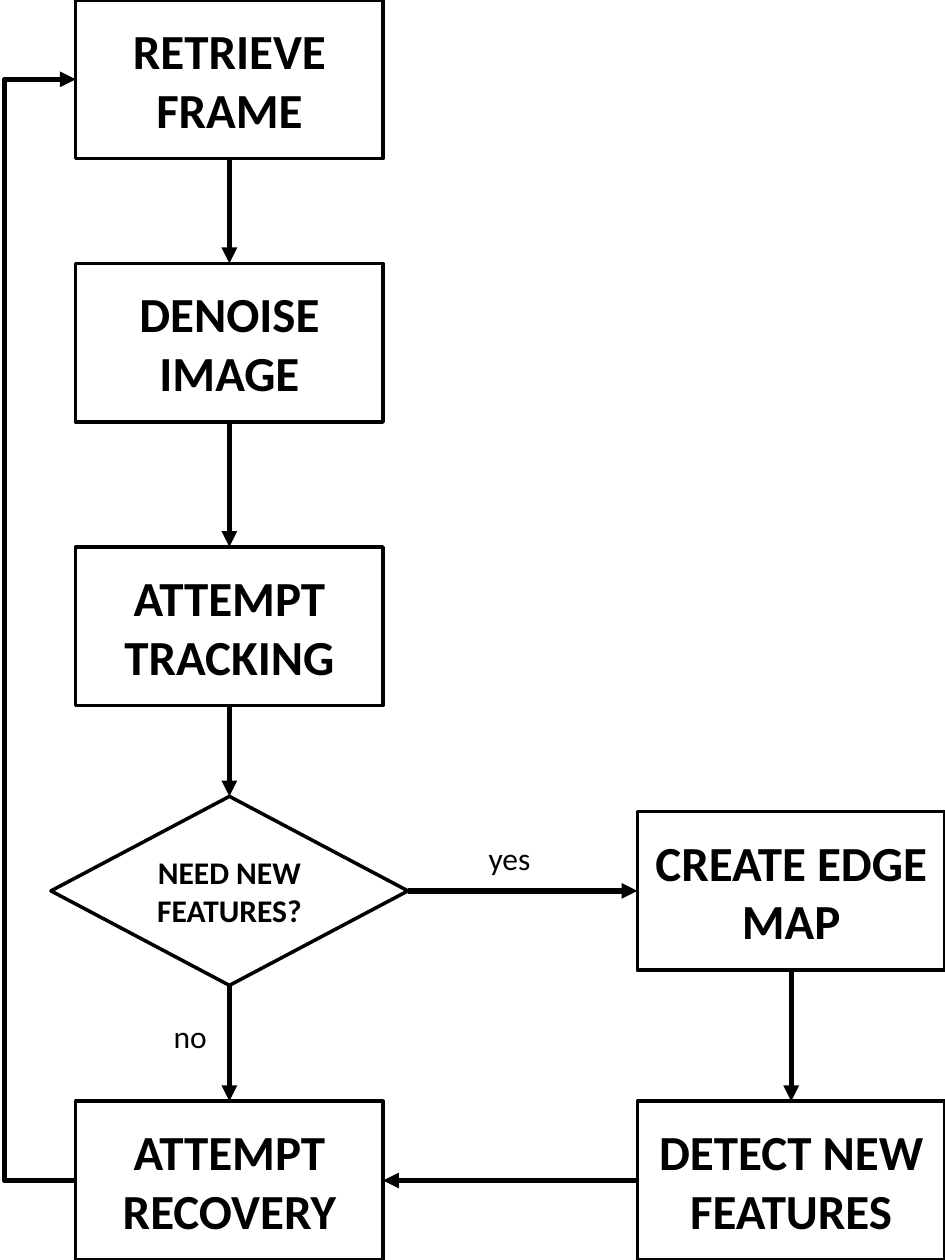
from pptx import Presentation
from pptx.dml.color import RGBColor
from pptx.enum.shapes import MSO_CONNECTOR, MSO_SHAPE
from pptx.enum.text import MSO_ANCHOR, PP_ALIGN
from pptx.oxml.ns import qn
from pptx.util import Pt
from lxml import etree

RECT, DIAMOND = MSO_SHAPE.RECTANGLE, MSO_SHAPE.DIAMOND
STRAIGHT, ELBOW = MSO_CONNECTOR.STRAIGHT, MSO_CONNECTOR.ELBOW
MIDDLE, CENTER = MSO_ANCHOR.MIDDLE, PP_ALIGN.CENTER
TOP, LEFT, BOTTOM, RIGHT = range(4)  # connection sites

COLORS = {"ink": "000000"}
INK = RGBColor.from_string(COLORS["ink"])
FONT = "Calibri"
STEP_W, STEP_H = 175.7, 90.7
MAIN_X, SIDE_X = 131.1, 452.1  # column centres
DECISION_Y, RECOVERY_Y = 509.1, 674.6  # row centres


def set_text(paragraph, text, size, bold=False):
    paragraph.text = text
    font = paragraph.font
    font.name, font.size, font.bold = FONT, Pt(size), bold
    font.color.rgb = INK


def add_node(slide, kind, text, center, width, height, size):
    x, y = center
    node = slide.shapes.add_shape(kind, Pt(x - width / 2), Pt(y - height / 2),
                                  Pt(width), Pt(height))
    node.shadow.inherit = False
    node.fill.background()
    node.line.color.rgb = INK
    node.line.width = Pt(2)
    frame = node.text_frame
    frame.word_wrap = True
    frame.vertical_anchor = MIDDLE
    paragraph = frame.paragraphs[0]
    paragraph.alignment = CENTER
    set_text(paragraph, text, size, bold=True)
    return node


def add_step(slide, text, center):
    return add_node(slide, RECT, text, center, STEP_W, STEP_H, 28)


def style_arrow(arrow):
    arrow.line.color.rgb = INK
    arrow.line.width = Pt(3)
    etree.SubElement(arrow.line._get_or_add_ln(), qn("a:tailEnd"), type="triangle")
    etree.SubElement(arrow._element.spPr, qn("a:effectLst"))


def link(slide, source, source_site, target, target_site):
    arrow = slide.shapes.add_connector(STRAIGHT, 0, 0, 0, 0)
    arrow.begin_connect(source, source_site)
    arrow.end_connect(target, target_site)
    style_arrow(arrow)


def add_loop(slide, x, top, bottom, rail_x):
    """Arrow that leaves at the bottom, runs up the rail and returns at the top."""
    arrow = slide.shapes.add_connector(ELBOW, Pt(x), Pt(top), Pt(x + 1), Pt(bottom))
    properties = arrow._element.spPr
    properties.find(qn("a:xfrm")).set("rot", "10800000")
    adjustments = properties.find(qn("a:prstGeom")).get_or_add_avLst()
    bend = round((x + 1 - rail_x) * 100000)
    etree.SubElement(adjustments, qn("a:gd"), name="adj1", fmla=f"val {bend}")
    style_arrow(arrow)


def add_label(slide, text, left, top, width):
    label = slide.shapes.add_textbox(Pt(left), Pt(top), Pt(width), Pt(29))
    label.text_frame.word_wrap = False
    set_text(label.text_frame.paragraphs[0], text, 18)


def add_main_column(slide, x):
    retrieve = add_step(slide, "RETRIEVE FRAME", (x, STEP_H / 2))
    denoise = add_step(slide, "DENOISE IMAGE", (x, 195.8))
    tracking = add_step(slide, "ATTEMPT TRACKING", (x, 357.9))
    decision = add_node(slide, DIAMOND, "NEED NEW FEATURES?",
                        (x, DECISION_Y), 204, 108, 18)
    recovery = add_step(slide, "ATTEMPT RECOVERY", (x, RECOVERY_Y))
    column = [retrieve, denoise, tracking, decision, recovery]
    for upper, lower in zip(column, column[1:]):
        link(slide, upper, BOTTOM, lower, TOP)
    add_loop(slide, x - STEP_W / 2, STEP_H / 2, RECOVERY_Y, 2.2)
    add_label(slide, "no", x - 39, DECISION_Y + 68.3, 34)
    return decision, recovery


def add_side_branch(slide, x, decision, recovery):
    edge_map = add_step(slide, "CREATE EDGE MAP", (x, DECISION_Y))
    detect = add_step(slide, "DETECT NEW FEATURES", (x, RECOVERY_Y))
    link(slide, decision, RIGHT, edge_map, LEFT)
    link(slide, edge_map, BOTTOM, detect, TOP)
    link(slide, detect, LEFT, recovery, RIGHT)
    add_label(slide, "yes", x - 180, DECISION_Y - 33.2, 39)


deck = Presentation()
deck.slide_width, deck.slide_height = Pt(540), Pt(720)
flowchart = deck.slides.add_slide(deck.slide_layouts[6])
need_features, attempt_recovery = add_main_column(flowchart, MAIN_X)
add_side_branch(flowchart, SIDE_X, need_features, attempt_recovery)
deck.save("out.pptx")
